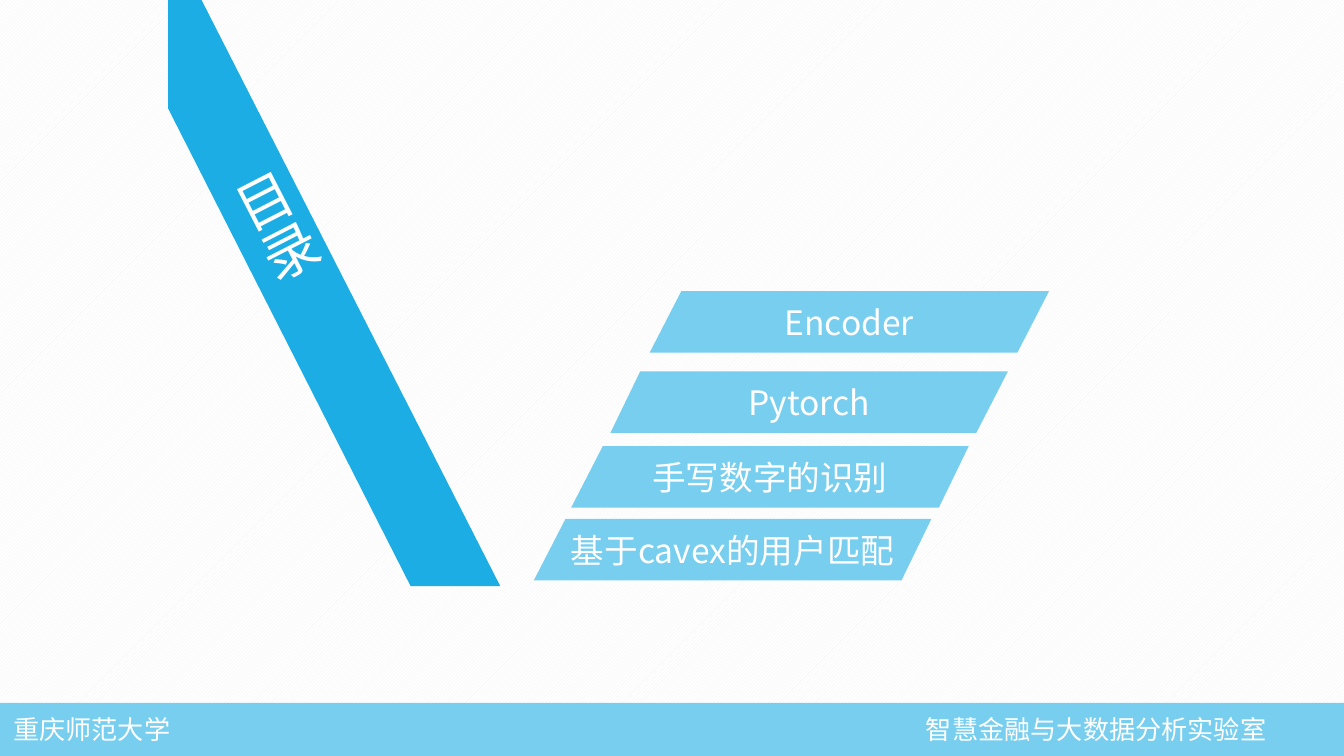
from dataclasses import dataclass

from lxml.etree import SubElement
from pptx import Presentation
from pptx.dml.color import RGBColor
from pptx.enum.dml import MSO_PATTERN
from pptx.enum.shapes import MSO_SHAPE
from pptx.enum.text import MSO_ANCHOR, MSO_AUTO_SIZE, PP_ALIGN
from pptx.oxml.ns import qn
from pptx.util import Pt


@dataclass(frozen=True)
class Theme:
    band: RGBColor = RGBColor(0x1C, 0xAD, 0xE4)
    bar: RGBColor = RGBColor(0x77, 0xCE, 0xEF)
    white: RGBColor = RGBColor(0xFF, 0xFF, 0xFF)
    hatch: RGBColor = RGBColor(0xF2, 0xF2, 0xF2)
    latin_font: str = "Arial"
    chinese_font: str = "Noto Sans CJK SC"
    title_size: int = 30
    item_size: int = 18
    footer_size: int = 14


theme = Theme()


def write_text(shape, text, *, size, font, align=PP_ALIGN.CENTER, margins=(7.2, 3.6)):
    """Write one middle-anchored white paragraph; margins are (sides, top and bottom)."""
    frame = shape.text_frame
    frame.word_wrap = True
    frame.auto_size = MSO_AUTO_SIZE.NONE
    frame.vertical_anchor = MSO_ANCHOR.MIDDLE
    frame.margin_left = frame.margin_right = Pt(margins[0])
    frame.margin_top = frame.margin_bottom = Pt(margins[1])
    paragraph = frame.paragraphs[0]
    paragraph.alignment = align
    run = paragraph.add_run()
    run.text = text
    run.font.size = Pt(size)
    run.font.name = font
    run.font.color.rgb = theme.white
    SubElement(run.font._element, qn("a:ea")).set("typeface", theme.chinese_font)
    return paragraph


def add_filled(shapes, color, points=None, box=None):
    """Add a plain polygon from points, or a rectangle from a box."""
    if points:
        builder = shapes.build_freeform(*points[0], scale=Pt(1))
        builder.add_line_segments(points[1:], close=True)
        shape = builder.convert_to_shape()
    else:
        shape = shapes.add_shape(MSO_SHAPE.RECTANGLE, *map(Pt, box))
    shape.shadow.inherit = False
    shape.fill.solid()
    shape.fill.fore_color.rgb = color
    shape.line.fill.background()
    return shape


presentation = Presentation()
presentation.slide_width = Pt(720)
presentation.slide_height = Pt(405)
slide = presentation.slides.add_slide(presentation.slide_layouts[5])

background = slide.background.fill
background.patterned()
background.pattern = MSO_PATTERN.LIGHT_UPWARD_DIAGONAL
background.fore_color.rgb = theme.hatch
background.back_color.rgb = theme.white

# Agenda items, each shifted left along one common slant
items = [
    ("Encoder", 156.4),
    ("Pytorch", 199.4),
    ("手写数字的识别", 239),
    ("基于cavex的用户匹配", 278.2),
]
first_left, first_top = 348.5, items[0][1]
item_width, item_height = 196.5, 32.5
slant = 0.51
for text, top in items:
    left = first_left - (top - first_top) * slant
    offset = item_height * slant
    bottom = top + item_height
    item = add_filled(slide.shapes, theme.bar, points=[
        (left + offset, top),
        (left + offset + item_width, top),
        (left + item_width, bottom),
        (left, bottom),
    ])
    write_text(item, text, size=theme.item_size, font=theme.chinese_font,
               margins=(13, 3))

# Diagonal band with the vertical title lying on it
add_filled(slide.shapes, theme.band,
           points=[(90, 0), (107.5, 0), (268, 313.5), (220.5, 313.5), (90, 58.5)])

title = slide.shapes.title
title_width, title_height = 42, 144
center_x, center_y = 167, 159
title.left, title.top = Pt(center_x - title_width / 2), Pt(center_y - title_height / 2)
title.width, title.height = Pt(title_width), Pt(title_height)
title.rotation = -27.1
write_text(title, "目录", size=theme.title_size, font=theme.latin_font, margins=(0, 0))
title.text_frame._txBody.bodyPr.set("vert", "eaVert")
slide.shapes._spTree.append(title._element)  # bring the title in front of the band

# Footer bar, the second name set at a tab stop
footer = add_filled(slide.shapes, theme.bar, box=(0, 376.5, 720, 28.5))
footer_line = write_text(footer, "重庆师范大学\t智慧金融与大数据分析实验室", size=theme.footer_size,
                         font=theme.latin_font, align=PP_ALIGN.LEFT)
tab_list = SubElement(footer_line._p.get_or_add_pPr(), qn("a:tabLst"))
tab = SubElement(tab_list, qn("a:tab"))
tab.set("pos", str(Pt(489)))
tab.set("algn", "l")

presentation.save("out.pptx")
